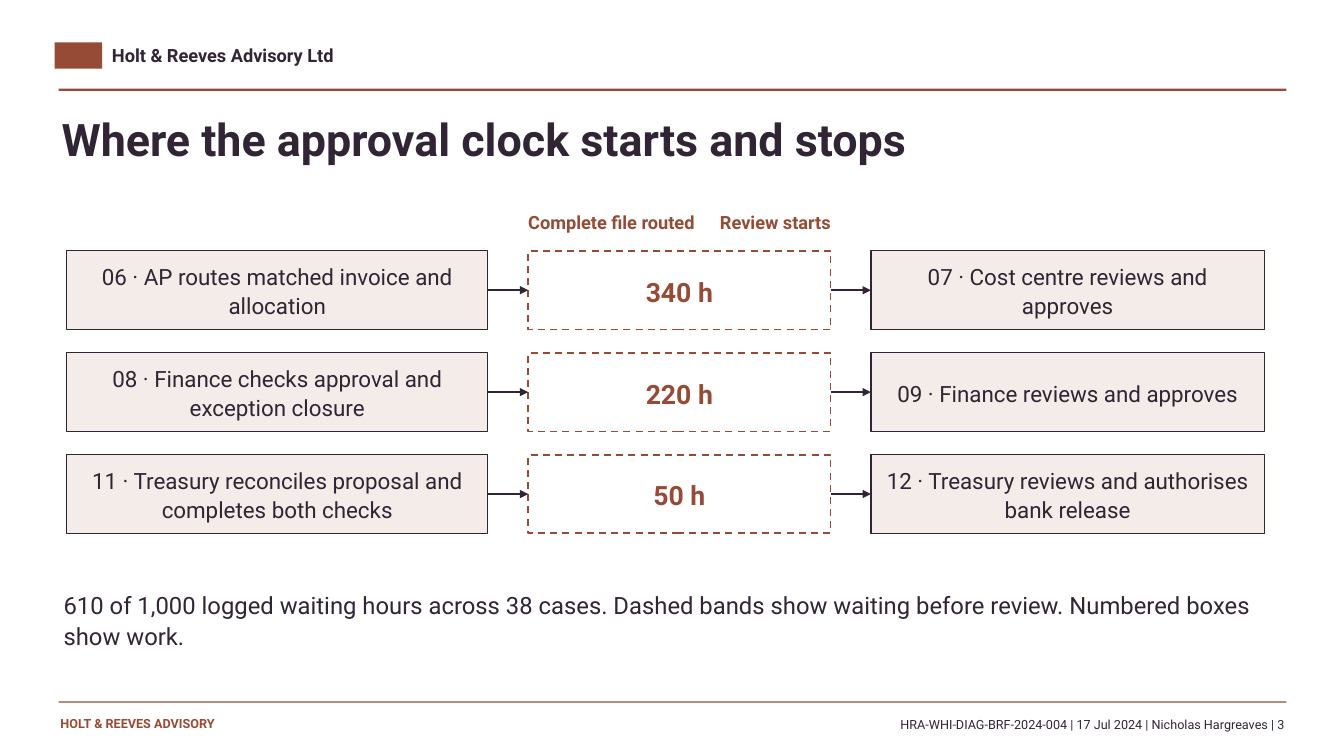
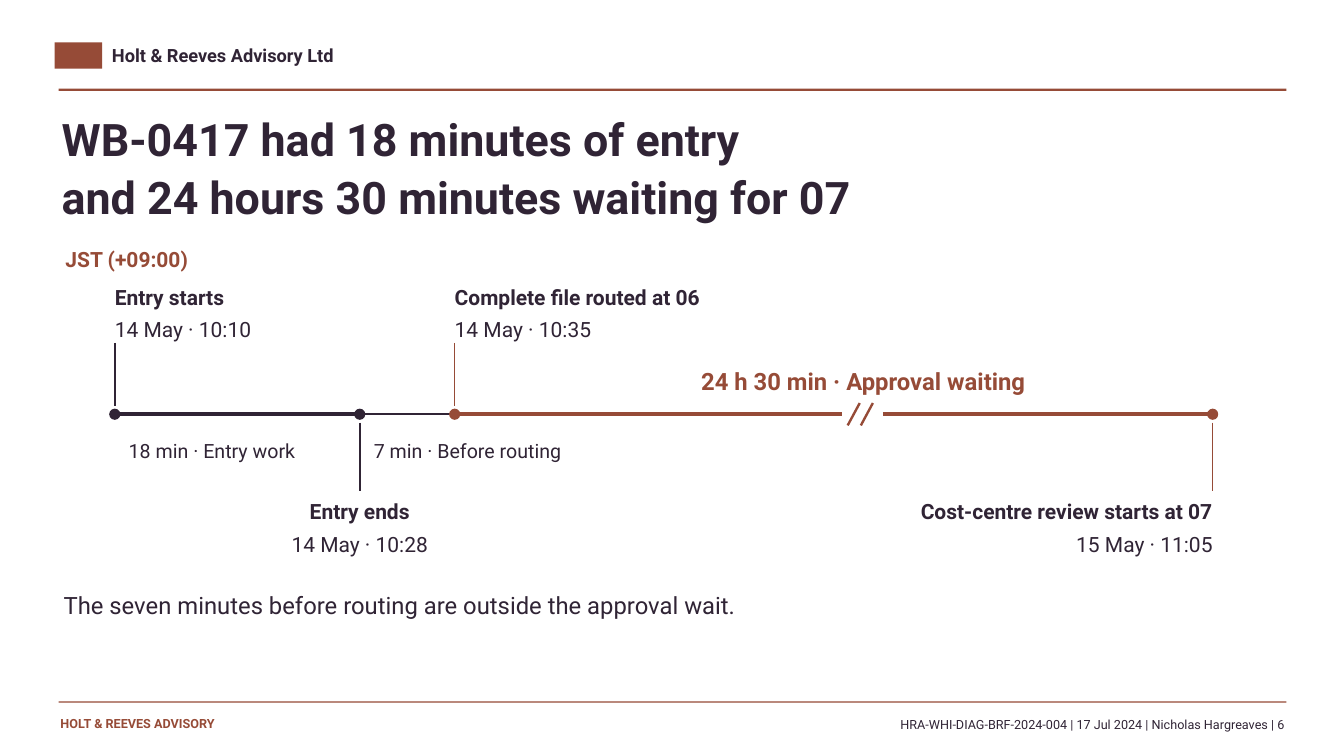
from dataclasses import dataclass
from typing import Optional

from lxml.etree import SubElement
from pptx import Presentation
from pptx.dml.color import RGBColor
from pptx.enum.dml import MSO_LINE
from pptx.enum.shapes import MSO_CONNECTOR, MSO_SHAPE
from pptx.enum.text import MSO_ANCHOR, PP_ALIGN
from pptx.oxml.ns import qn
from pptx.shapes.autoshape import Shape
from pptx.shapes.connector import Connector
from pptx.slide import Slide
from pptx.text.text import TextFrame
from pptx.util import Pt


@dataclass(frozen=True)
class Theme:
    ink: RGBColor = RGBColor(0x30, 0x24, 0x35)
    rust: RGBColor = RGBColor(0x96, 0x4B, 0x37)
    blush: RGBColor = RGBColor(0xF4, 0xEC, 0xE8)
    white: RGBColor = RGBColor(0xFF, 0xFF, 0xFF)
    font: str = "Roboto"
    title: float = 32
    hours: float = 19
    body: float = 17
    step: float = 16
    event: float = 15
    span: float = 14
    label: float = 13
    footer: float = 9
    leading: float = 1.08


THEME = Theme()


@dataclass(frozen=True)
class Handoff:
    before: str
    wait: str
    after: str


@dataclass(frozen=True)
class Segment:
    start: float
    end: float
    color: RGBColor
    weight: float = 2.5


@dataclass(frozen=True)
class Event:
    x: float
    name: str
    time: str
    color: RGBColor
    above: bool
    align: PP_ALIGN
    width: float


HANDOFFS = [
    Handoff("06 · AP routes matched invoice and allocation", "340 h",
            "07 · Cost centre reviews and approves"),
    Handoff("08 · Finance checks approval and exception closure", "220 h",
            "09 · Finance reviews and approves"),
    Handoff("11 · Treasury reconciles proposal and completes both checks", "50 h",
            "12 · Treasury reviews and authorises bank release"),
]

ENTRY_START, ENTRY_END, ROUTED, REVIEW = 82, 257, 324.8, 866.2
BREAK_START, BREAK_END = 601.2, 630.7

SEGMENTS = [
    Segment(ENTRY_START, ENTRY_END, THEME.ink),
    Segment(ENTRY_END, ROUTED, THEME.ink, 1.6),
    Segment(ROUTED, BREAK_START, THEME.rust),
    Segment(BREAK_END, REVIEW, THEME.rust),
]

EVENTS = [
    Event(ENTRY_START, "Entry starts", "14 May · 10:10", THEME.ink, True, PP_ALIGN.LEFT, 169),
    Event(ENTRY_END, "Entry ends", "14 May · 10:28", THEME.ink, False, PP_ALIGN.CENTER, 161),
    Event(ROUTED, "Complete file routed at 06", "14 May · 10:35", THEME.rust, True,
          PP_ALIGN.LEFT, 212),
    Event(REVIEW, "Cost-centre review starts at 07", "15 May · 11:05", THEME.rust, False,
          PP_ALIGN.RIGHT, 292),
]


# Drawing helpers
def write(frame: TextFrame, text: str, *, size: float, color: RGBColor = THEME.ink,
          bold: bool = False, align: PP_ALIGN = PP_ALIGN.LEFT,
          leading: float = THEME.leading, inset: float = 0,
          anchor: MSO_ANCHOR = MSO_ANCHOR.TOP) -> None:
    frame.word_wrap = True
    frame.vertical_anchor = anchor
    frame.margin_left = frame.margin_right = Pt(inset)
    frame.margin_top = frame.margin_bottom = 0
    paragraph = frame.paragraphs[0]
    paragraph.text = text
    paragraph.alignment = align
    paragraph.line_spacing = leading
    for run in paragraph.runs:
        run.font.name = THEME.font
        run.font.size = Pt(size)
        run.font.bold = bold
        run.font.color.rgb = color


def add_text(slide: Slide, text: str, left: float, top: float, width: float,
             height: float, **style) -> None:
    box = slide.shapes.add_textbox(Pt(left), Pt(top), Pt(width), Pt(height))
    write(box.text_frame, text, **style)


def add_block(slide: Slide, left: float, top: float, width: float, height: float,
              fill: RGBColor, *, preset: MSO_SHAPE = MSO_SHAPE.RECTANGLE,
              outline: Optional[RGBColor] = None, weight: float = 0.85,
              dashed: bool = False) -> Shape:
    block = slide.shapes.add_shape(preset, Pt(left), Pt(top), Pt(width), Pt(height))
    block.shadow.inherit = False
    block.fill.solid()
    block.fill.fore_color.rgb = fill
    if outline is None:
        block.line.fill.background()
    else:
        block.line.color.rgb = outline
        block.line.width = Pt(weight)
        if dashed:
            block.line.dash_style = MSO_LINE.DASH
    return block


def add_line(slide: Slide, x1: float, y1: float, x2: float, y2: float,
             color: RGBColor, weight: float = 1.1) -> Connector:
    line = slide.shapes.add_connector(MSO_CONNECTOR.STRAIGHT, Pt(x1), Pt(y1), Pt(x2), Pt(y2))
    line.line.color.rgb = color
    line.line.width = Pt(weight)
    SubElement(line._element.spPr, qn("a:effectLst"))
    return line


def add_arrow(slide: Slide, source: Shape, target: Shape) -> None:
    arrow = add_line(slide, 0, 0, 0, 0, THEME.ink)
    arrow.begin_connect(source, 3)
    arrow.end_connect(target, 1)
    SubElement(arrow.line._get_or_add_ln(), qn("a:tailEnd"), type="triangle")


# Header, title, closing note and footer shared by all slides
def add_frame(deck, title: str, note: str, number: int) -> Slide:
    slide = deck.slides.add_slide(deck.slide_layouts[6])
    add_block(slide, 39, 30.2, 34, 18.8, THEME.rust)
    add_text(slide, "Holt & Reeves Advisory Ltd", 80, 31.7, 432, 19.4,
             size=THEME.label, bold=True, leading=1)
    for top, height in ((63.4, 1.6), (501, 0.9)):
        add_block(slide, 41.8, top, 877, height, THEME.rust)
    add_text(slide, "HOLT & REEVES ADVISORY", 43.2, 511.2, 245, 18,
             size=THEME.footer, color=THEME.rust, bold=True, leading=1)
    add_text(slide, f"HRA-WHI-DIAG-BRF-2024-004 | 17 Jul 2024 | Nicholas Hargreaves | {number}",
             296.6, 511.2, 620.6, 20, size=THEME.footer, align=PP_ALIGN.RIGHT)
    add_text(slide, title, 44, 77, 864, 56, size=THEME.title, bold=True)
    add_text(slide, note, 45.4, 420.5, 860, 57.6, size=THEME.body)
    return slide


# Work, wait and review boxes, one row per handoff
def build_waits(deck) -> None:
    slide = add_frame(deck, "Where the approval clock starts and stops",
                      "610 of 1,000 logged waiting hours across 38 cases. Dashed bands show "
                      "waiting before review. Numbered boxes show work.", 3)
    first_top, pitch, height, gap = 179.2, 72.8, 56.2, 28.8
    before_left, before_width, wait_width, after_width = 47.5, 301, 216, 281
    wait_left = before_left + before_width + gap
    wait_right = wait_left + wait_width
    after_left = wait_right + gap

    heading = dict(size=THEME.label, color=THEME.rust, bold=True)
    add_text(slide, "Complete file routed", wait_left, 149.8, 148, 22, **heading)
    add_text(slide, "Review starts", wait_right - 104, 149.8, 104, 22,
             align=PP_ALIGN.RIGHT, **heading)

    centred = dict(align=PP_ALIGN.CENTER, anchor=MSO_ANCHOR.MIDDLE, inset=8.64)
    for row, handoff in enumerate(HANDOFFS):
        top = first_top + row * pitch
        before = add_block(slide, before_left, top, before_width, height,
                           THEME.blush, outline=THEME.ink)
        wait = add_block(slide, wait_left, top, wait_width, height, THEME.white,
                         outline=THEME.rust, weight=1.25, dashed=True)
        after = add_block(slide, after_left, top, after_width, height,
                          THEME.blush, outline=THEME.ink)
        write(before.text_frame, handoff.before, size=THEME.step, **centred)
        write(wait.text_frame, handoff.wait, size=THEME.hours, color=THEME.rust,
              bold=True, **centred)
        write(after.text_frame, handoff.after, size=THEME.step, **centred)
        add_arrow(slide, before, wait)
        add_arrow(slide, wait, after)


def add_event(slide: Slide, event: Event, axis: float) -> None:
    radius = 4
    add_block(slide, event.x - radius, axis - radius, 2 * radius, 2 * radius,
              event.color, preset=MSO_SHAPE.OVAL)
    near, far, name_top = (-6, -51, -94.3) if event.above else (6, 55, 59)
    stem_top, stem_bottom = sorted((axis + near, axis + far))
    add_line(slide, event.x, stem_top, event.x, stem_bottom, event.color)
    share = {PP_ALIGN.LEFT: 0, PP_ALIGN.CENTER: 0.5, PP_ALIGN.RIGHT: 1}[event.align]
    left = event.x - share * event.width
    for text, offset, bold in ((event.name, 0, True), (event.time, 23, False)):
        add_text(slide, text, left, axis + name_top + offset, event.width, 20.5,
                 size=THEME.event, bold=bold, align=event.align)


# Timeline with a broken axis
def build_timeline(deck) -> None:
    slide = add_frame(deck, "WB-0417 had 18 minutes of entry\n"
                            "and 24 hours 30 minutes waiting for 07",
                      "The seven minutes before routing are outside the approval wait.", 6)
    axis = 295.9
    add_text(slide, "JST (+09:00)", 46.8, 175, 144, 21.6,
             size=THEME.event, color=THEME.rust, bold=True)
    for segment in SEGMENTS:
        add_line(slide, segment.start, axis, segment.end, axis, segment.color, segment.weight)
    for slash in (605.5, 614.9):
        add_line(slide, slash, axis + 8, slash + 8.6, axis - 8, THEME.rust, 1.7)
    for event in EVENTS:
        add_event(slide, event, axis)

    # Durations
    add_text(slide, "18 min · Entry work", 46, 312.5, 211, 24.5,
             size=THEME.span, align=PP_ALIGN.CENTER)
    add_text(slide, "7 min · Before routing", 267, 312.5, 199.4, 24.5, size=THEME.span)
    add_text(slide, "24 h 30 min · Approval waiting", 445.7, 260.6, 342, 26.6,
             size=THEME.body, color=THEME.rust, bold=True, align=PP_ALIGN.CENTER)


def main() -> None:
    deck = Presentation()
    deck.slide_width, deck.slide_height = Pt(960), Pt(540)
    build_waits(deck)
    build_timeline(deck)
    deck.save("out.pptx")


if __name__ == "__main__":
    main()
